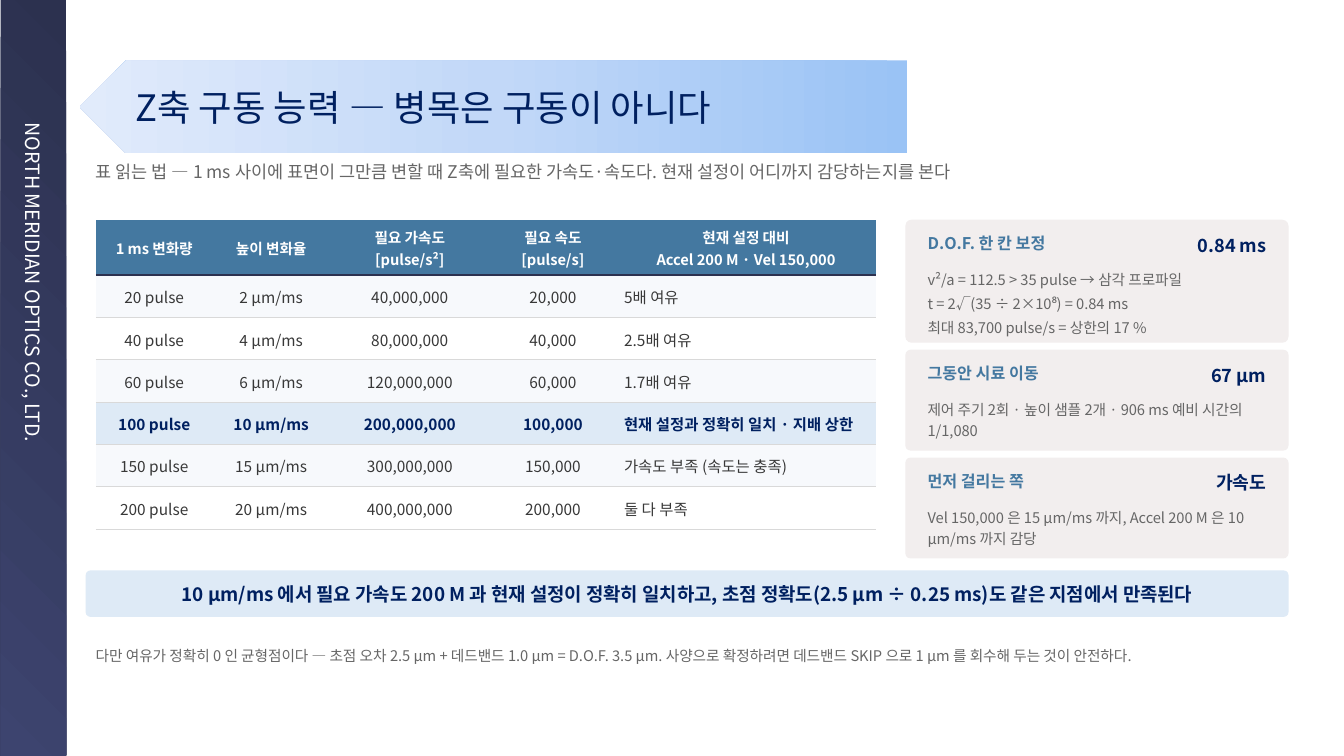
from copy import deepcopy

from lxml import etree
from pptx import Presentation
from pptx.dml.color import RGBColor
from pptx.enum.shapes import MSO_SHAPE
from pptx.enum.text import MSO_ANCHOR, PP_ALIGN
from pptx.oxml.ns import qn
from pptx.util import Inches, Pt

RECT, ROUND, ARROW = MSO_SHAPE.RECTANGLE, MSO_SHAPE.ROUNDED_RECTANGLE, MSO_SHAPE.PENTAGON
TOP, MIDDLE = MSO_ANCHOR.TOP, MSO_ANCHOR.MIDDLE
LEFT, CENTER, RIGHT = PP_ALIGN.LEFT, PP_ALIGN.CENTER, PP_ALIGN.RIGHT

FONT = "Noto Sans CJK KR"
NO_STYLE = "{2D5ABB26-0587-4C30-8999-92F81FD0307C}"
WHITE = RGBColor(0xFF, 0xFF, 0xFF)
NAVY = RGBColor(0x00, 0x20, 0x60)
STEEL = RGBColor(0x44, 0x78, 0xA0)
GRAY = RGBColor(0x66, 0x66, 0x66)
DARK = RGBColor(0x38, 0x38, 0x38)
RULE = RGBColor(0xD9, 0xD9, 0xD9)
BAND = RGBColor(0xF7, 0xF9, 0xFC)
PALE = RGBColor(0xDE, 0xEA, 0xF6)
SAND = RGBColor(0xF2, 0xEE, 0xEE)
NIGHT = RGBColor(0x2C, 0x31, 0x4F)
DUSK = RGBColor(0x3D, 0x44, 0x6F)
SKY = [RGBColor(0x9A, 0xC3, 0xF5), RGBColor(0xC2, 0xD8, 0xF8), RGBColor(0xE1, 0xEB, 0xFB)]

WIDTHS = [1.16, 1.16, 1.59, 1.25, 2.58]
HEAD = ["1 ms 변화량", "높이 변화율", "필요 가속도\n[pulse/s²]", "필요 속도\n[pulse/s]",
        "현재 설정 대비\nAccel 200 M · Vel 150,000"]
ROWS = [
    ["20 pulse", "2 µm/ms", "40,000,000", "20,000", "5배 여유"],
    ["40 pulse", "4 µm/ms", "80,000,000", "40,000", "2.5배 여유"],
    ["60 pulse", "6 µm/ms", "120,000,000", "60,000", "1.7배 여유"],
    ["100 pulse", "10 µm/ms", "200,000,000", "100,000", "현재 설정과 정확히 일치 · 지배 상한"],
    ["150 pulse", "15 µm/ms", "300,000,000", "150,000", "가속도 부족 (속도는 충족)"],
    ["200 pulse", "20 µm/ms", "400,000,000", "200,000", "둘 다 부족"],
]
LIMIT = 4
CARDS = [
    (1.22, "D.O.F. 한 칸 보정", "0.84 ms",
     "v²/a = 112.5 > 35 pulse → 삼각 프로파일\n"
     "t = 2√(35 ÷ 2×10⁸) = 0.84 ms\n최대 83,700 pulse/s = 상한의 17 %"),
    (1, "그동안 시료 이동", "67 µm",
     "제어 주기 2회 · 높이 샘플 2개 · 906 ms 예비 시간의 1/1,080"),
    (1, "먼저 걸리는 쪽", "가속도",
     "Vel 150,000 은 15 µm/ms 까지, Accel 200 M 은 10 µm/ms 까지 감당"),
]


def write(frame, text, size, color, bold=False, align=LEFT, line=None, after=None):
    """Fill a text frame with one paragraph per line of text."""
    frame.text = text
    for para in frame.paragraphs:
        para.alignment = align
        if line:
            para.line_spacing = line
        if after:
            para.space_after = Pt(after)
        font = para.font
        font.name, font.size, font.bold = FONT, Pt(size), bold
        font.color.rgb = color
        props = para._p.find(".//" + qn("a:defRPr"))
        etree.SubElement(props, qn("a:ea"), typeface=FONT)


def inset(item, left, top, right, bottom):
    """Set the margins of a text frame or a table cell."""
    item.margin_left, item.margin_top = Inches(left), Inches(top)
    item.margin_right, item.margin_bottom = Inches(right), Inches(bottom)


def add_text(slide, box, text, size, color, wrap=True, anchor=TOP, **style):
    """Add a text box without margins."""
    frame = slide.shapes.add_textbox(*map(Inches, box)).text_frame
    frame.word_wrap = wrap
    frame.vertical_anchor = anchor
    inset(frame, 0, 0, 0, 0)
    write(frame, text, size, color, **style)


def add_panel(slide, kind, box, fill=None, curve=None):
    """Add a preset shape without outline or shadow."""
    panel = slide.shapes.add_shape(kind, *map(Inches, box))
    panel.shadow.inherit = False
    panel.line.fill.background()
    if fill:
        panel.fill.solid()
        panel.fill.fore_color.rgb = fill
    if curve:
        panel.adjustments[0] = curve
    return panel


def blend(panel, colors, angle):
    """Give a shape a gradient of evenly spaced colours."""
    panel.fill.gradient()
    panel.fill.gradient_angle = angle
    stops = panel._element.spPr.find(".//" + qn("a:gsLst"))
    for _ in colors[2:]:
        stops.append(deepcopy(stops[0]))
    for index, (stop, color) in enumerate(zip(panel.fill.gradient_stops, colors)):
        stop.position = index / (len(colors) - 1)
        stop.color.rgb = color


def add_side(slide):
    """Add the upright company strip."""
    side = add_panel(slide, RECT, (-3.42, 3.42, 7.5, 0.65))
    side.rotation = 90
    blend(side, [NIGHT, DUSK], 315)
    frame = side.text_frame
    frame.vertical_anchor = MIDDLE
    inset(frame, 1.22, 0.05, 0.1, 0.05)
    write(frame, "NORTH MERIDIAN OPTICS CO., LTD.", 14, WHITE)


def add_title(slide):
    """Add the title on its arrow banner."""
    banner = add_panel(slide, ARROW, (0.79, 0.6, 8.21, 0.92))
    banner._element.spPr.find(qn("a:xfrm")).set("flipH", "1")
    blend(banner, SKY, 0)
    add_text(slide, (1.34, 0.6, 7.23, 0.92), "Z축 구동 능력 — 병목은 구동이 아니다",
             26, NAVY, wrap=False, anchor=MIDDLE)


def rule(cell, color, width):
    """Draw the bottom border of a cell."""
    line = etree.Element(qn("a:lnB"), w=str(Pt(width)))
    fill = etree.SubElement(line, qn("a:solidFill"))
    etree.SubElement(fill, qn("a:srgbClr"), val=str(color))
    cell._tc.get_or_add_tcPr().insert(0, line)


def add_grid(slide):
    """Add the table of required drive values."""
    box = map(Inches, (0.95, 2.18, sum(WIDTHS), 3.07))
    frame = slide.shapes.add_table(len(ROWS) + 1, len(WIDTHS), *box)
    table = frame.table
    table._tbl.tblPr.find(qn("a:tableStyleId")).text = NO_STYLE
    table.first_row = table.horz_banding = False
    for column, width in zip(table.columns, WIDTHS):
        column.width = Inches(width)
    for r, texts in enumerate([HEAD] + ROWS):
        head, limit = r == 0, r == LIMIT
        table.rows[r].height = Inches(0.55 if head else 0.42)
        fill = STEEL if head else PALE if limit else BAND if r % 2 else None
        color = WHITE if head else NAVY if limit else DARK
        for c, text in enumerate(texts):
            cell = table.cell(r, c)
            cell.vertical_anchor = MIDDLE
            inset(cell, 0.08, 0.03, 0.08, 0.03)
            if fill:
                cell.fill.solid()
                cell.fill.fore_color.rgb = fill
            else:
                cell.fill.background()
            rule(cell, NIGHT if head else RULE, 1.2 if head else 0.6)
            align = CENTER if head or c < len(WIDTHS) - 1 else LEFT
            write(cell.text_frame, text, 10.5 if head else 11, color,
                  bold=head or limit, align=align, line=1.05)


def add_card(slide, top, height, label, value, body):
    """Add a card with a label, a value and a short text."""
    add_panel(slide, ROUND, (8.98, top, 3.8, height), SAND, 0.05)
    box = (9.2, top + 0.14, 3.36, 0.26)
    add_text(slide, box, label, 11.5, STEEL, bold=True)
    add_text(slide, box, value, 13, NAVY, bold=True, align=RIGHT)
    add_text(slide, (9.2, top + 0.48, 3.36, height - 0.6), body, 10.5, GRAY,
             line=1.18, after=2)


def add_result(slide):
    """Add the conclusion bar."""
    bar = add_panel(slide, ROUND, (0.85, 5.66, 11.93, 0.46), PALE, 0.1)
    bar.text_frame.vertical_anchor = MIDDLE
    inset(bar.text_frame, 0.06, 0.02, 0.06, 0.02)
    write(bar.text_frame, "10 µm/ms 에서 필요 가속도 200 M 과 현재 설정이 정확히 일치하고, "
          "초점 정확도(2.5 µm ÷ 0.25 ms)도 같은 지점에서 만족된다",
          13.5, NAVY, bold=True, align=CENTER)


def main():
    """Build the slide and save it."""
    deck = Presentation()
    deck.slide_width, deck.slide_height = Inches(13.33), Inches(7.5)
    slide = deck.slides.add_slide(deck.slide_layouts[6])
    add_side(slide)
    add_title(slide)
    add_text(slide, (0.95, 1.6, 11.93, 0.34),
             "표 읽는 법 — 1 ms 사이에 표면이 그만큼 변할 때 Z축에 필요한 가속도·속도다. "
             "현재 설정이 어디까지 감당하는지를 본다", 12.5, GRAY)
    add_grid(slide)
    top = 2.18
    for height, label, value, body in CARDS:
        add_card(slide, top, height, label, value, body)
        top += height + 0.07
    add_result(slide)
    add_text(slide, (0.95, 6.4, 11.83, 0.3),
             "다만 여유가 정확히 0 인 균형점이다 — 초점 오차 2.5 µm + 데드밴드 1.0 µm = D.O.F. 3.5 µm. "
             "사양으로 확정하려면 데드밴드 SKIP 으로 1 µm 를 회수해 두는 것이 안전하다.",
             10.5, GRAY, line=1.1)
    deck.save("out.pptx")


if __name__ == "__main__":
    main()
